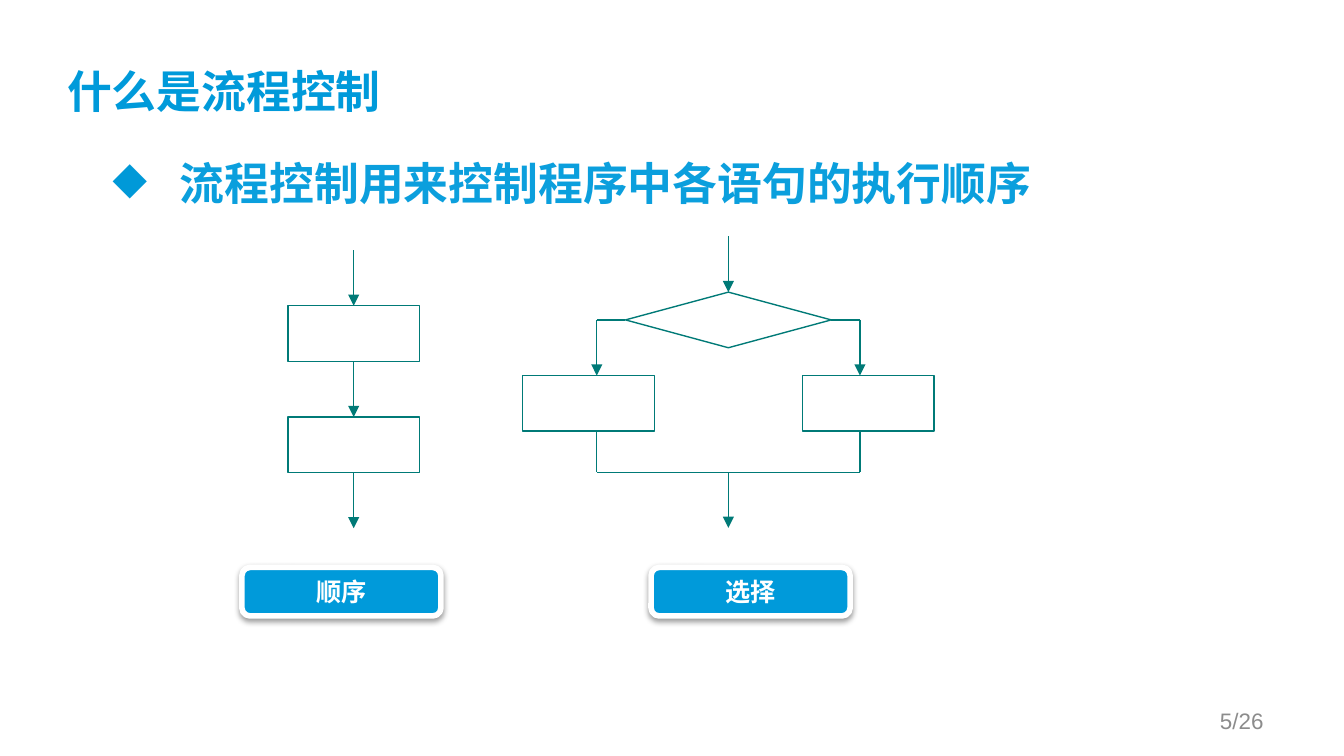
from lxml import etree
from pptx import Presentation
from pptx.dml.color import RGBColor
from pptx.enum.shapes import MSO_CONNECTOR, MSO_SHAPE
from pptx.enum.text import MSO_ANCHOR, PP_ALIGN
from pptx.oxml import parse_xml
from pptx.oxml.ns import nsdecls, qn
from pptx.util import Pt

BLUE = RGBColor(0x00, 0x9A, 0xDA)
BODY_BLUE = RGBColor(0x0B, 0x9F, 0xDD)
TEAL = RGBColor(0x00, 0x7A, 0x77)
GRAY = RGBColor(0x8C, 0x8C, 0x8C)
WHITE = RGBColor(0xFF, 0xFF, 0xFF)

PROCESS = MSO_SHAPE.FLOWCHART_PROCESS
DECISION = MSO_SHAPE.FLOWCHART_DECISION
ROUNDED = MSO_SHAPE.FLOWCHART_ALTERNATE_PROCESS
STRAIGHT = MSO_CONNECTOR.STRAIGHT
MIDDLE = MSO_ANCHOR.MIDDLE
TOP = MSO_ANCHOR.TOP
LEFT, CENTER, RIGHT = PP_ALIGN.LEFT, PP_ALIGN.CENTER, PP_ALIGN.RIGHT

CJK_FONT = "Noto Sans CJK SC"
STEP = 29.8        # height of a flowchart node and of the arrow between nodes
NODE_WIDTH = 70.6


def write(shape, text, font_name, size, color, bold=True, align=LEFT, anchor=MIDDLE):
    frame = shape.text_frame
    frame.word_wrap = True
    frame.vertical_anchor = anchor
    paragraph = frame.paragraphs[0]
    paragraph.text = text
    paragraph.alignment = align
    font = paragraph.font
    font.name, font.size, font.bold = font_name, Pt(size), bold
    font.color.rgb = color
    east_asian = parse_xml(f'<a:ea {nsdecls("a")} typeface="{CJK_FONT}"/>')
    paragraph._p.pPr.find(qn("a:defRPr")).find(qn("a:latin")).addnext(east_asian)
    return paragraph


def add_text(slide, box, *args, **kwargs):
    textbox = slide.shapes.add_textbox(*map(Pt, box))
    return textbox, write(textbox, *args, **kwargs)


def add_node(slide, kind, x, y, width, height=STEP):
    node = slide.shapes.add_shape(kind, Pt(x), Pt(y), Pt(width), Pt(height))
    node.shadow.inherit = False
    node.fill.background()
    node.line.color.rgb = TEAL
    node.line.width = Pt(0.75)
    return node


def add_line(slide, x1, y1, x2, y2, arrow=False):
    line = slide.shapes.add_connector(STRAIGHT, Pt(x1), Pt(y1), Pt(x2), Pt(y2))
    line.line.color.rgb = TEAL
    line.line.width = Pt(0.75)
    etree.SubElement(line._element.spPr, qn("a:effectLst"))
    if arrow:
        etree.SubElement(line.line._get_or_add_ln(), qn("a:tailEnd"), type="triangle")


def add_title(slide, box):
    title, _ = add_text(slide, box, "什么是流程控制", CJK_FONT, 24, BLUE)
    frame = title.text_frame
    frame.margin_left = frame.margin_top = 0


def add_statement(slide, box):
    _, statement = add_text(slide, box, "流程控制用来控制程序中各语句的执行顺序",
                            CJK_FONT, 24, BODY_BLUE, anchor=TOP)
    properties = statement._p.pPr
    properties.set("marL", str(Pt(36)))
    properties.set("indent", str(-Pt(36)))
    bullet_color = parse_xml(
        f'<a:buClr {nsdecls("a")}><a:srgbClr val="0099D8"/></a:buClr>')
    bullet = parse_xml(f'<a:buChar {nsdecls("a")} char="◆"/>')
    properties.insert(0, bullet_color)
    bullet_color.addnext(bullet)


def add_sequence_flow(slide, left, top, width):
    """Arrow, node, arrow, node, arrow, each one step high."""
    center = left + width / 2
    for index in range(5):
        y = top + index * STEP
        if index % 2:
            add_node(slide, PROCESS, left, y, width)
        else:
            add_line(slide, center, y, center, y + STEP, arrow=True)


def add_selection_flow(slide, left, top, width, height):
    """A decision that splits into two branches and joins again."""
    center = left + width / 2
    decision_width = width / 2
    decision_top = top + STEP
    decision_middle = decision_top + STEP / 2
    branch_top = decision_middle + STEP
    merge = top + height - STEP
    arm = 70.5

    # Entry and decision
    add_line(slide, center, top, center, decision_top, arrow=True)
    add_node(slide, DECISION, center - decision_width / 2, decision_top, decision_width)

    # Left and right branches
    for side, node_left in ((-1, left), (1, left + width - NODE_WIDTH)):
        branch = center + side * arm
        corner = center + side * decision_width / 2
        add_line(slide, corner, decision_middle, branch, decision_middle)
        add_line(slide, branch, decision_middle, branch, branch_top, arrow=True)
        add_node(slide, PROCESS, node_left, branch_top, NODE_WIDTH)
        add_line(slide, branch, branch_top + STEP, branch, merge)

    # Join and exit
    add_line(slide, center - arm, merge, center + arm, merge)
    add_line(slide, center, merge, center, top + height, arrow=True)


def add_caption(slide, text, box):
    caption = add_node(slide, ROUNDED, *box)
    caption.fill.solid()
    caption.fill.fore_color.rgb = BLUE
    caption.line.color.rgb = WHITE
    caption.line.width = Pt(3)
    write(caption, text, "Calibri", 13.5, WHITE, align=CENTER)
    caption._element.spPr.find(qn("a:effectLst")).append(parse_xml(
        f'<a:outerShdw {nsdecls("a")} blurRad="{Pt(3.1)}" dist="{Pt(1.6)}" '
        'dir="5400000" rotWithShape="0"><a:srgbClr val="000000">'
        '<a:alpha val="38000"/></a:srgbClr></a:outerShdw>'))


def add_page_number(slide, box):
    add_text(slide, box, "5/26", "Arial", 12, GRAY, bold=False, align=RIGHT)


def main():
    presentation = Presentation()
    presentation.slide_width, presentation.slide_height = Pt(720), Pt(405)
    slide = presentation.slides.add_slide(presentation.slide_layouts[6])

    add_statement(slide, (53.3, 80, 611, 267))
    add_sequence_flow(slide, 154.2, 134, NODE_WIDTH)
    add_selection_flow(slide, 280, 126.7, 220.4, 156.1)
    for text, left in (("顺序", 129.6), ("选择", 348.8)):
        add_caption(slide, text, (left, 304, 106.6, 26))
    add_title(slide, (36, 16.6, 648, 67.7))
    add_page_number(slide, (516.2, 375.2, 167.8, 21.6))

    presentation.save("out.pptx")


if __name__ == "__main__":
    main()
